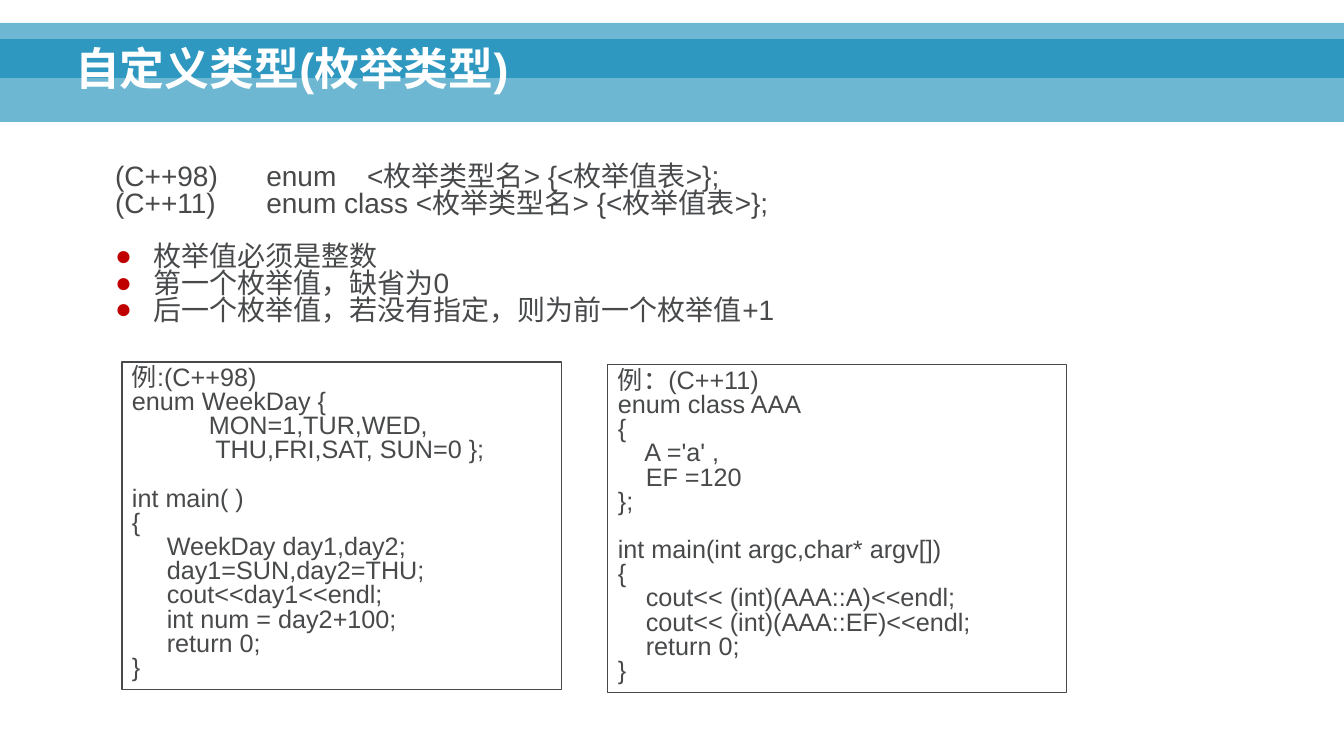
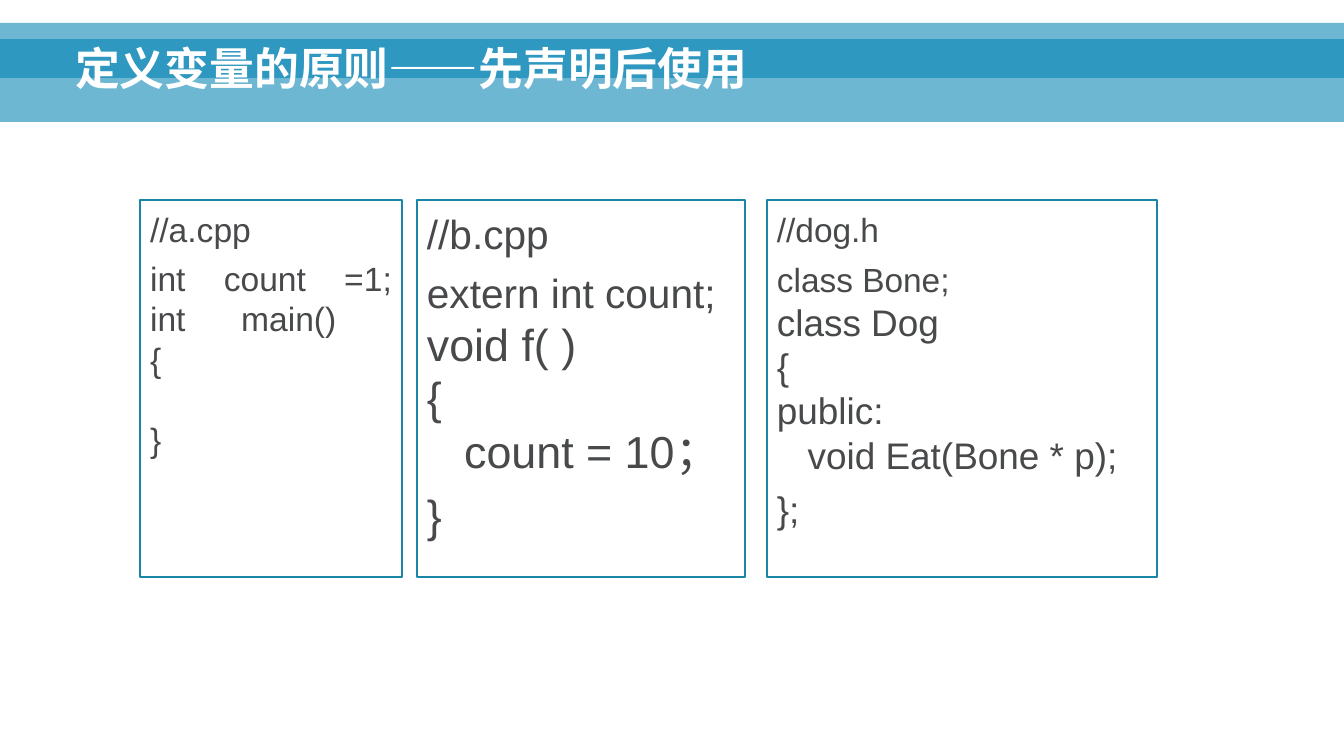
from lxml import etree
from pptx import Presentation
from pptx.dml.color import RGBColor
from pptx.enum.shapes import MSO_SHAPE
from pptx.enum.text import MSO_ANCHOR, MSO_AUTO_SIZE, PP_ALIGN
from pptx.oxml.ns import qn
from pptx.util import Pt

PX = 914400 / 100.8
FONT = "Arial"
BAND_BLUE = RGBColor(0x00, 0x82, 0xB3)
TEXT_GRAY = RGBColor(0x47, 0x49, 0x4B)
BULLET_RED = RGBColor(0xC0, 0x00, 0x00)
FRAME_TEAL = RGBColor(0x19, 0x85, 0xA7)
WHITE = RGBColor(0xFF, 0xFF, 0xFF)


def write(frame, text, size=18, color=TEXT_GRAY, bold=False, line=1.0, before=0,
          after=0, align=PP_ALIGN.LEFT, bullet=None, indent=0, tabs=()):
    """Add one paragraph to a text frame, filling the empty first one."""
    first = frame.paragraphs[0]
    paragraph = frame.add_paragraph() if first.runs else first
    properties = paragraph._p.get_or_add_pPr()
    properties.set("marL", str(round(indent * PX)))
    properties.set("indent", str(round(-indent * PX)))
    if bullet:
        bullet_color = etree.SubElement(properties, qn("a:buClr"))
        etree.SubElement(bullet_color, qn("a:srgbClr"), val=str(BULLET_RED))
        etree.SubElement(properties, qn("a:buFont"), typeface=FONT)
        etree.SubElement(properties, qn("a:buChar"), char=bullet)
    else:
        etree.SubElement(properties, qn("a:buNone"))
    if tabs:
        tab_list = etree.SubElement(properties, qn("a:tabLst"))
        for position in tabs:
            etree.SubElement(tab_list, qn("a:tab"), pos=str(round(position * PX)), algn="l")
    paragraph.alignment = align
    paragraph.line_spacing = line
    paragraph.space_before = Pt(before)
    paragraph.space_after = Pt(after)
    paragraph.text = text
    for run in paragraph.runs:
        run.font.name = FONT
        run.font.size = Pt(size)
        run.font.bold = bold
        run.font.color.rgb = color


def place(shape, left, top, width, height, border=None, border_width=1, inset_top=5):
    """Set a text shape's position, frame line and top inset."""
    shape.left, shape.top, shape.width, shape.height = (
        round(value * PX) for value in (left, top, width, height))
    frame = shape.text_frame
    frame.word_wrap = True
    frame.auto_size = MSO_AUTO_SIZE.NONE
    frame.margin_top = round(inset_top * PX)
    if border is not None:
        shape.line.color.rgb = border
        shape.line.width = Pt(border_width)
    return frame


presentation = Presentation()
presentation.slide_width = round(1344 * PX)
presentation.slide_height = round(756 * PX)

# Shared title place
layout = presentation.slide_layouts[1]
title_frame = place(layout.placeholders[0], 65, 12, 1208, 88)
title_frame.vertical_anchor = MSO_ANCHOR.BOTTOM

# Slides and titles
slides = []
for title in ("自定义类型(枚举类型)", "定义变量的原则——先声明后使用"):
    slide = presentation.slides.add_slide(layout)
    write(slide.shapes.title.text_frame, title, size=32, color=WHITE, bold=True, line=0.9)
    slides.append(slide)
enum_slide, declare_slide = slides

# Translucent bands, moved to the layout behind its placeholders
for index, (top, height) in enumerate([(39, 83), (23, 55)]):
    band = enum_slide.shapes.add_shape(
        MSO_SHAPE.RECTANGLE, 0, round(top * PX), presentation.slide_width, round(height * PX))
    band.shadow.inherit = False
    band.line.fill.background()
    band.fill.solid()
    band.fill.fore_color.rgb = BAND_BLUE
    band_color = band._element.spPr.find(".//" + qn("a:srgbClr"))
    etree.SubElement(band_color, qn("a:alpha"), val="57000")
    layout.shapes._spTree.insert(2 + index, band._element)

# Enum slide: syntax and rules
frame = place(enum_slide.placeholders[1], 105, 160, 1163, 175)
write(frame, "(C++98)\tenum\t<枚举类型名> {<枚举值表>};", size=20, line=0.8, tabs=(134, 282))
write(frame, "(C++11)\tenum class <枚举类型名> {<枚举值表>};", size=20, line=0.8,
      after=19, tabs=(132,))
for rule in ("枚举值必须是整数", "第一个枚举值，缺省为0", "后一个枚举值，若没有指定，则为前一个枚举值+1"):
    write(frame, rule, size=20, line=0.8, bullet="●", indent=38)

# Enum slide: code examples, each a list of blocks one line apart
examples = [
    ((122, 362, 440, 328), [
        ["例:(C++98)",
         "enum WeekDay {",
         "           MON=1,TUR,WED,",
         "            THU,FRI,SAT, SUN=0 };"],
        ["int main( )",
         "{",
         "     WeekDay day1,day2;",
         "     day1=SUN,day2=THU;",
         "     cout<<day1<<endl;",
         "     int num = day2+100;",
         "     return 0;",
         "}"]]),
    ((608, 365, 459, 328), [
        ["例：(C++11)",
         "enum class AAA",
         "{",
         "    A ='a' ,",
         "    EF =120",
         "};"],
        ["int main(int argc,char* argv[])",
         "{",
         "    cout<< (int)(AAA::A)<<endl;",
         "    cout<< (int)(AAA::EF)<<endl;",
         "    return 0;",
         "}"]]),
]
for box, blocks in examples:
    frame = place(enum_slide.shapes.add_textbox(0, 0, 0, 0), *box,
                  border=TEXT_GRAY, border_width=0.75)
    for block_index, block in enumerate(blocks):
        for line_index, code in enumerate(block):
            gap = 17 if block_index and not line_index else 0
            write(frame, code, line=0.8, before=gap)

# Declaration slide: source files as (code, size, space before)
justified = PP_ALIGN.JUSTIFY
files = [
    (declare_slide.placeholders[1], 140, 262, justified, [
        ("//a.cpp", 24, 0),
        ("int count =1;\vint main() \v{", 24, 6),
        ("}", 24, 29)]),
    (declare_slide.shapes.add_textbox(0, 0, 0, 0), 417, 328, PP_ALIGN.LEFT, [
        ("//b.cpp", 29, 0),
        ("extern int count;", 29, 7),
        ("void f( )", 32, 0),
        ("{", 32, 0),
        ("   count = 10；", 32, 0),
        ("}", 32, 7)]),
    (declare_slide.shapes.add_textbox(0, 0, 0, 0), 767, 390, PP_ALIGN.LEFT, [
        ("//dog.h", 23.9, 0),
        ("class Bone;", 23.9, 7),
        ("class Dog", 26.4, 0),
        ("{", 26.4, 0),
        ("public:", 26.4, 0),
        ("   void Eat(Bone * p);", 26.4, 0),
        ("};", 26.4, 7)]),
]
for shape, left, width, align, lines in files:
    frame = place(shape, left, 200, width, 377, border=FRAME_TEAL, inset_top=9)
    for code, size, gap in lines:
        write(frame, code, size=size, before=gap, align=align)

presentation.save("out.pptx")
